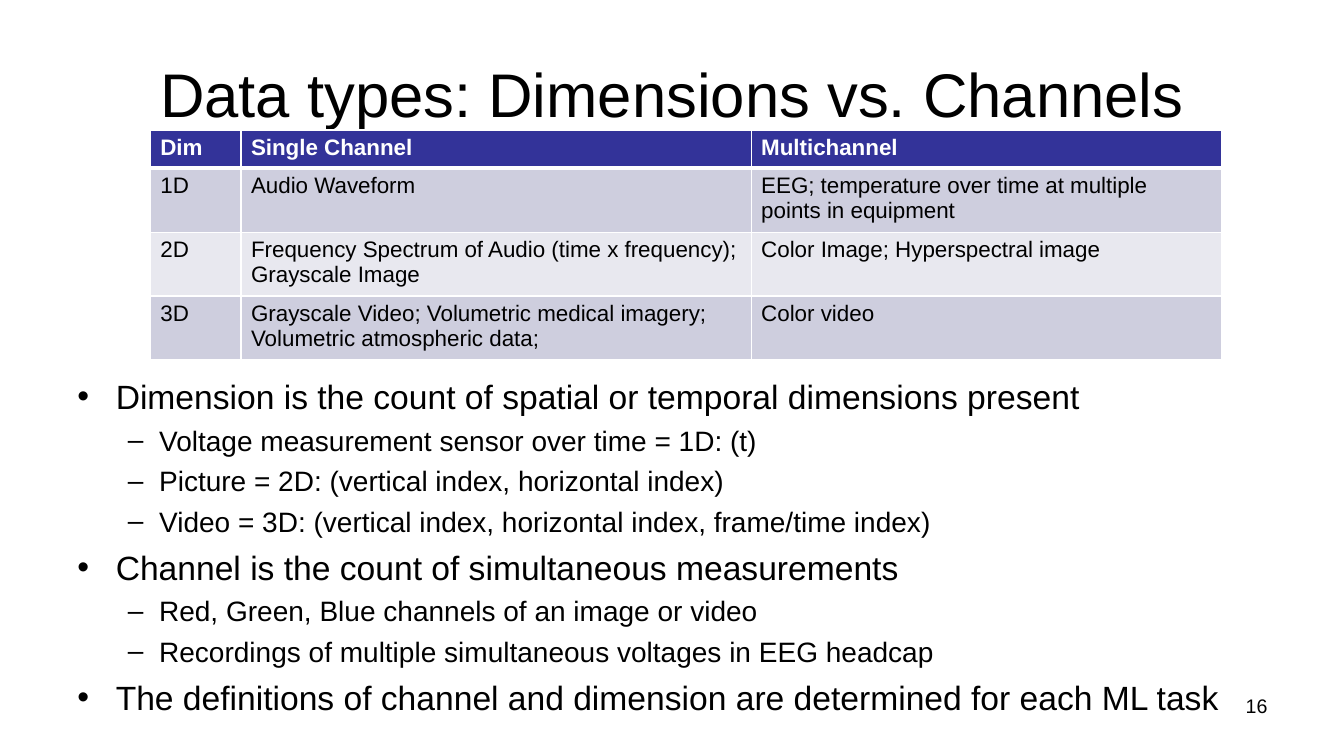
import pptx
import pptx.dml.color
import pptx.enum.text
import pptx.oxml
import pptx.oxml.ns
import pptx.util
from dataclasses import dataclass

PX = 9144  # EMU per px, 100 px to the inch
ALIGN = pptx.enum.text.PP_ALIGN
ANCHOR = pptx.enum.text.MSO_ANCHOR


@dataclass(frozen=True)
class Theme:
    font: str = "Arial"
    ink: str = "000000"
    white: str = "FFFFFF"
    header: str = "333399"
    bands: tuple = ("CECEDE", "E8E8EF")
    title: int = 44
    cell: int = 16
    number: int = 14


@dataclass(frozen=True)
class Level:
    bullet: str
    size: int
    indent: int
    hanging: int
    before: int


THEME = Theme()
LEVELS = (Level("•", 24, 38, 38, 6), Level("–", 20, 81, 31, 5))

COLUMNS = (90, 506, 467)
ROW_HEIGHTS = (38, 59, 59, 59)
ROWS = (
    ("Dim", "Single Channel", "Multichannel"),
    ("1D", "Audio Waveform",
     "EEG; temperature over time at multiple points in equipment"),
    ("2D", "Frequency Spectrum of Audio (time x frequency); Grayscale Image",
     "Color Image; Hyperspectral image"),
    ("3D", "Grayscale Video; Volumetric medical imagery; Volumetric atmospheric data;",
     "Color video"),
)
POINTS = (
    (0, "Dimension is the count of spatial or temporal dimensions present"),
    (1, "Voltage measurement sensor over time = 1D: (t)"),
    (1, "Picture = 2D: (vertical index, horizontal index)"),
    (1, "Video = 3D: (vertical index, horizontal index, frame/time index)"),
    (0, "Channel is the count of simultaneous measurements"),
    (1, "Red, Green, Blue channels of an image or video"),
    (1, "Recordings of multiple simultaneous voltages in EEG headcap"),
    (0, "The definitions of channel and dimension are determined for each ML task"),
)


def px(n):
    return pptx.util.Emu(n * PX)


def rgb(color):
    return pptx.dml.color.RGBColor.from_string(color)


def element(xml):
    return pptx.oxml.parse_xml(xml.replace(" ", f" {pptx.oxml.ns.nsdecls('a')} ", 1))


def write(p, text, *, size, color=THEME.ink, bold=False, align=ALIGN.LEFT, before=0):
    p.alignment = align
    p.space_before = pptx.util.Pt(before)
    r = p.add_run()
    r.text = text
    r.font.name = THEME.font
    r.font.size = pptx.util.Pt(size)
    r.font.bold = bold
    r.font.color.rgb = rgb(color)


def set_bullet(p, level):
    pPr = p._p.get_or_add_pPr()
    pPr.set("marL", str(px(level.indent)))
    pPr.set("indent", str(-px(level.hanging)))
    pPr.append(element(f'<a:buFont typeface="{THEME.font}"/>'))
    pPr.append(element(f'<a:buChar char="{level.bullet}"/>'))


def add_title(s, text, left, top, width, height):
    sp = s.shapes.title
    sp.left, sp.top, sp.width, sp.height = map(px, (left, top, width, height))
    tf = sp.text_frame
    tf.auto_size = pptx.enum.text.MSO_AUTO_SIZE.NONE
    tf.vertical_anchor = ANCHOR.MIDDLE
    write(tf.paragraphs[0], text, size=THEME.title, align=ALIGN.CENTER)


def add_text_box(s, left, top, width, height):
    tf = s.shapes.add_textbox(*map(px, (left, top, width, height))).text_frame
    tf.word_wrap = True
    return tf


def add_points(s, points, left, top, width, height):
    tf = add_text_box(s, left, top, width, height)
    tf.margin_top = px(9)
    for i, (depth, text) in enumerate(points):
        p = tf.add_paragraph() if i else tf.paragraphs[0]
        level = LEVELS[depth]
        p.level = depth
        set_bullet(p, level)
        write(p, text, size=level.size, before=level.before if i else 0)


def set_borders(cell, top, bottom):
    tcPr = cell._tc.get_or_add_tcPr()
    for side, points in (("L", 1), ("R", 1), ("T", top), ("B", bottom)):
        tcPr.append(element(
            f'<a:ln{side} w="{pptx.util.Pt(points)}"><a:solidFill>'
            f'<a:srgbClr val="{THEME.white}"/></a:solidFill></a:ln{side}>'))


def add_data_table(s, left, top):
    frame = s.shapes.add_table(len(ROWS), len(COLUMNS), px(left), px(top),
                               px(sum(COLUMNS)), px(sum(ROW_HEIGHTS)))
    table = frame.table
    for column, width in zip(table.columns, COLUMNS):
        column.width = px(width)
    for i, (row, height, texts) in enumerate(zip(table.rows, ROW_HEIGHTS, ROWS)):
        row.height = px(height)
        is_header = i == 0
        fill = THEME.header if is_header else THEME.bands[(i - 1) % 2]
        for cell, text in zip(row.cells, texts):
            set_borders(cell, top=3 if i == 1 else 1, bottom=3 if is_header else 1)
            cell.fill.solid()
            cell.fill.fore_color.rgb = rgb(fill)
            write(cell.text_frame.paragraphs[0], text, size=THEME.cell,
                  color=THEME.white if is_header else THEME.ink, bold=is_header)


def main():
    prs = pptx.Presentation()
    prs.slide_width, prs.slide_height = px(1333), px(750)
    s = prs.slides.add_slide(prs.slide_layouts[5])

    # Title and explanation
    add_title(s, "Data types: Dimensions vs. Channels", 67, 30, 1200, 125)
    add_points(s, POINTS, 67, 364, 1190, 345)

    # Slide number
    number = add_text_box(s, 956, 683, 311, 52)
    write(number.paragraphs[0], "16", size=THEME.number, align=ALIGN.RIGHT)

    # Dimensions against channels
    add_data_table(s, 149, 129)
    prs.save("out.pptx")


if __name__ == "__main__":
    main()
